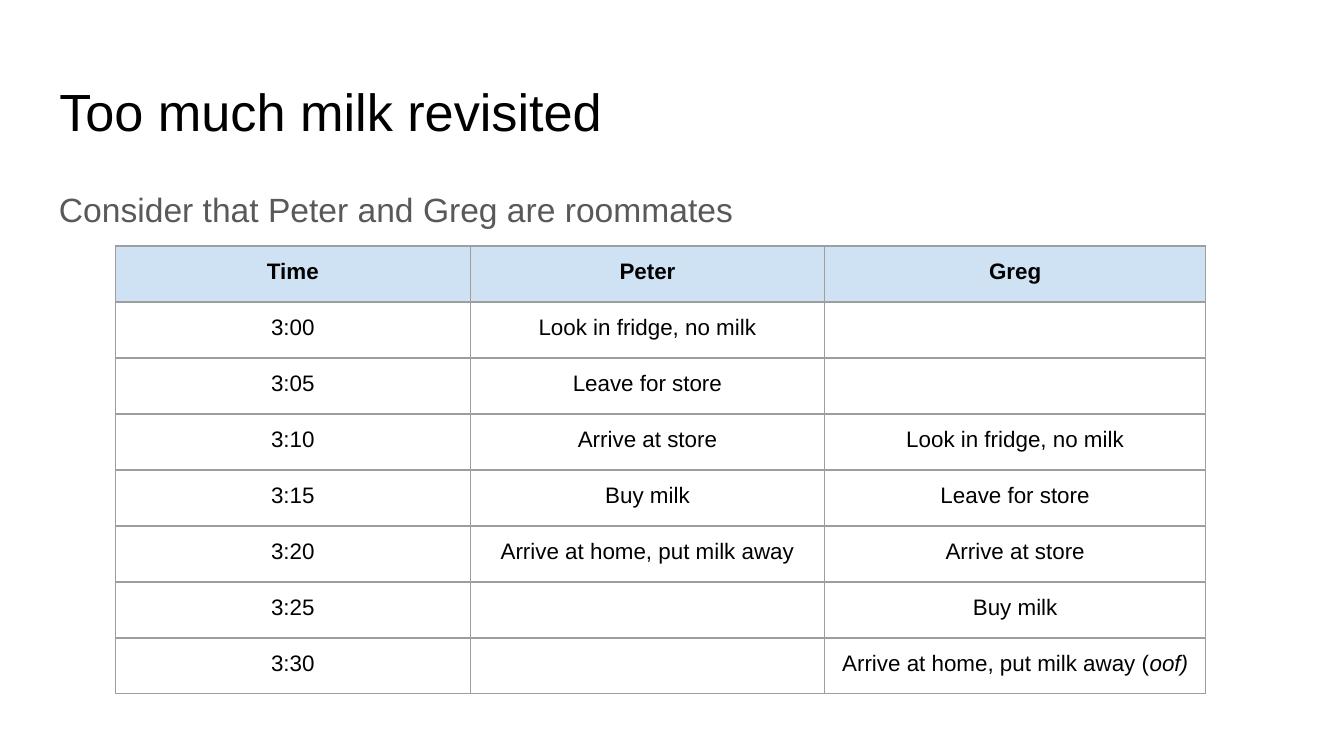
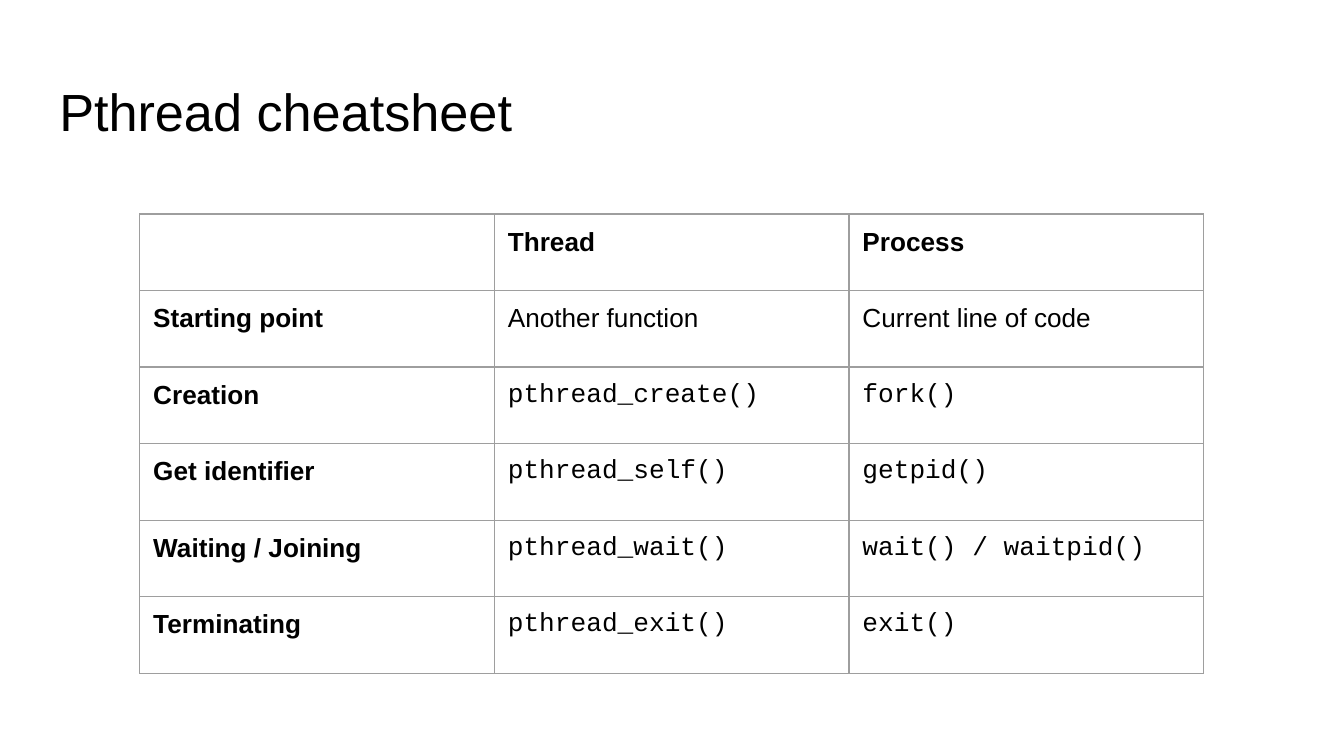
"""Build two slides: a roommate timeline and a Pthread cheatsheet."""
from dataclasses import dataclass

from lxml import etree
from pptx import Presentation
from pptx.dml.color import RGBColor
from pptx.enum.text import MSO_ANCHOR, MSO_AUTO_SIZE, PP_ALIGN
from pptx.oxml.ns import qn
from pptx.util import Pt

LEFT, CENTER = PP_ALIGN.LEFT, PP_ALIGN.CENTER
TOP = MSO_ANCHOR.TOP
NO_AUTOFIT = MSO_AUTO_SIZE.NONE
TITLE_ONLY_LAYOUT = 5

BLACK, GRAY, BORDER, HEADER_BLUE = "000000", "595959", "9E9E9E", "CFE2F3"
SANS, MONO = "Arial", "Courier New"
INSET = 7.2
BORDER_WIDTH = 0.75
TEXT_LEFT, TEXT_WIDTH = 24.54, 670.9


@dataclass(frozen=True)
class Box:
    """A rectangle in points."""
    left: float
    top: float
    width: float
    height: float


@dataclass(frozen=True)
class Run:
    """A stretch of text with one format."""
    text: str
    bold: bool = False
    italic: bool = False
    font: str = SANS


@dataclass(frozen=True)
class TableSpec:
    """The place, grid and look of one table."""
    left: float
    top: float
    column_widths: tuple[float, ...]
    row_height: float
    size: float
    alignment: PP_ALIGN
    rows: list[list[list[Run]]]
    header_fill: str | None = None


TITLE_BOX = Box(TEXT_LEFT, 35.04, TEXT_WIDTH, 45.1)
BODY_BOX = Box(TEXT_LEFT, 90.75, TEXT_WIDTH, 269)

TIMELINE = [
    ("3:00", "Look in fridge, no milk", ""),
    ("3:05", "Leave for store", ""),
    ("3:10", "Arrive at store", "Look in fridge, no milk"),
    ("3:15", "Buy milk", "Leave for store"),
    ("3:20", "Arrive at home, put milk away", "Arrive at store"),
    ("3:25", "", "Buy milk"),
]
CALLS = [
    ("Creation", "pthread_create()", "fork()"),
    ("Get identifier", "pthread_self()", "getpid()"),
    ("Waiting / Joining", "pthread_wait()", "wait() / waitpid()"),
    ("Terminating", "pthread_exit()", "exit()"),
]


def color(value: str) -> RGBColor:
    """Turn a hex string into a colour."""
    return RGBColor.from_string(value)


def apply_format(target, values: dict) -> None:
    """Set each named attribute on the target."""
    for name, value in values.items():
        setattr(target, name, value)


def cells(*texts: str, bold: bool = False, font: str = SANS) -> list[list[Run]]:
    """Make one cell per text, with no run where the text is empty."""
    return [[Run(text, bold, False, font)] if text else [] for text in texts]


def write_runs(paragraph, runs: list[Run], size: float, hex_color: str) -> None:
    """Write formatted runs, or size the empty paragraph."""
    for part in runs:
        run = paragraph.add_run()
        run.text = part.text
        apply_format(run.font, {"name": part.font, "size": Pt(size),
                                "bold": part.bold, "italic": part.italic})
        run.font.color.rgb = color(hex_color)
    if not runs:
        etree.SubElement(paragraph._p, qn("a:endParaRPr"), sz=str(int(size * 100)))


def write_block(shape, box: Box, text: str, size: float, hex_color: str,
                paragraph_format: dict) -> None:
    """Place a text shape and write its single paragraph."""
    apply_format(shape, {"left": Pt(box.left), "top": Pt(box.top),
                         "width": Pt(box.width), "height": Pt(box.height)})
    frame = shape.text_frame
    apply_format(frame, {"word_wrap": True, "auto_size": NO_AUTOFIT,
                         "vertical_anchor": TOP,
                         "margin_left": Pt(INSET), "margin_right": Pt(INSET),
                         "margin_top": Pt(INSET), "margin_bottom": Pt(INSET)})
    paragraph = frame.paragraphs[0]
    apply_format(paragraph, {"alignment": LEFT, **paragraph_format})
    write_runs(paragraph, [Run(text)], size, hex_color)


def add_titled_slide(presentation, title: str):
    """Add a title-only slide with the shared title style."""
    slide = presentation.slides.add_slide(
        presentation.slide_layouts[TITLE_ONLY_LAYOUT])
    write_block(slide.shapes.title, TITLE_BOX, title, 28, BLACK, {})
    return slide


def add_body(slide, text: str) -> None:
    """Add the gray body line under the title."""
    shape = slide.shapes.add_textbox(0, 0, 0, 0)
    write_block(shape, BODY_BOX, text, 18, GRAY,
                {"line_spacing": 1.15, "space_after": Pt(16)})


def add_borders(cell) -> None:
    """Draw a thin line on all four sides of a cell."""
    properties = cell._tc.get_or_add_tcPr()
    for side in ("a:lnL", "a:lnR", "a:lnT", "a:lnB"):
        line = etree.SubElement(properties, qn(side), w=str(Pt(BORDER_WIDTH)))
        fill = etree.SubElement(line, qn("a:solidFill"))
        etree.SubElement(fill, qn("a:srgbClr"), val=BORDER)


def add_table(slide, spec: TableSpec) -> None:
    """Add a bordered table from its description."""
    frame = slide.shapes.add_table(
        len(spec.rows), len(spec.column_widths), Pt(spec.left), Pt(spec.top),
        Pt(sum(spec.column_widths)), Pt(spec.row_height * len(spec.rows)))
    table = frame.table
    apply_format(table, {"first_row": False, "horz_banding": False})
    for column, width in zip(table.columns, spec.column_widths):
        column.width = Pt(width)
    for row_index, row in enumerate(spec.rows):
        table.rows[row_index].height = Pt(spec.row_height)
        for column_index, runs in enumerate(row):
            cell = table.cell(row_index, column_index)
            apply_format(cell, {"margin_left": Pt(INSET), "margin_right": Pt(INSET),
                                "margin_top": Pt(INSET), "margin_bottom": Pt(INSET),
                                "vertical_anchor": TOP})
            add_borders(cell)
            if row_index == 0 and spec.header_fill:
                cell.fill.solid()
                cell.fill.fore_color.rgb = color(spec.header_fill)
            else:
                cell.fill.background()
            paragraph = cell.text_frame.paragraphs[0]
            paragraph.alignment = spec.alignment
            write_runs(paragraph, runs, spec.size, BLACK)


def build_milk_slide(presentation) -> None:
    """Build the roommate timeline slide."""
    slide = add_titled_slide(presentation, "Too much milk revisited")
    add_body(slide, "Consider that Peter and Greg are roommates")
    last_row = cells("3:30", "") + [
        [Run("Arrive at home, put milk away ("), Run("oof)", italic=True)]]
    rows = [cells("Time", "Peter", "Greg", bold=True),
            *(cells(*texts) for texts in TIMELINE), last_row]
    add_table(slide, TableSpec(61.9, 131.8, (190, 190, 204), 30, 12, CENTER,
                               rows, HEADER_BLUE))


def build_pthread_slide(presentation) -> None:
    """Build the thread and process comparison slide."""
    slide = add_titled_slide(presentation, "Pthread cheatsheet")
    rows = [cells("", "Thread", "Process", bold=True),
            cells("Starting point", bold=True)
            + cells("Another function", "Current line of code")]
    rows += [cells(label, bold=True) + cells(*calls, font=MONO)
             for label, *calls in CALLS]
    add_table(slide, TableSpec(74.9, 114.7, (190,) * 3, 41, 14, LEFT, rows))


def main() -> None:
    """Build and save the presentation."""
    presentation = Presentation()
    apply_format(presentation, {"slide_width": Pt(720), "slide_height": Pt(405)})
    build_milk_slide(presentation)
    build_pthread_slide(presentation)
    presentation.save("out.pptx")


main()
